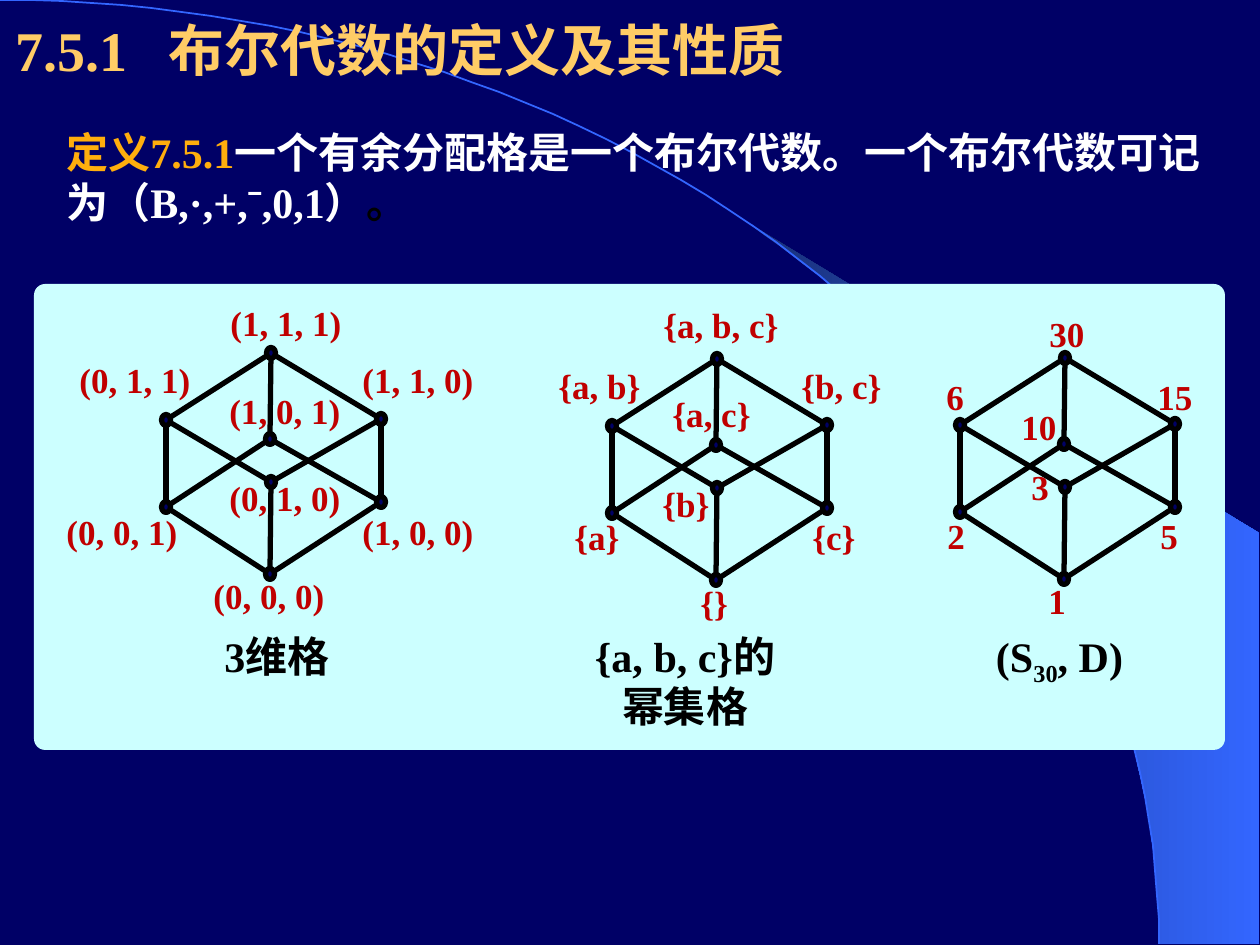
from math import asin, cos, pi, sin

from lxml.etree import SubElement
from pptx import Presentation
from pptx.dml.color import RGBColor
from pptx.enum.shapes import MSO_CONNECTOR as Connector, MSO_SHAPE as Shape
from pptx.enum.text import MSO_ANCHOR as Anchor, PP_ALIGN as Align
from pptx.oxml.ns import qn
from pptx.util import Emu, Pt

PX = 914400 / 126
WIDTH, HEIGHT = 1260, 945
FONT = "Times New Roman"

NAVY = RGBColor(0x00, 0x00, 0x66)
DEEP_BLUE = RGBColor(0x18, 0x2F, 0x76)
BLUE = RGBColor(0x33, 0x66, 0xFF)
GOLD = RGBColor(0xFF, 0xCC, 0x66)
ORANGE = RGBColor(0xFF, 0xAE, 0x0D)
WHITE = RGBColor(0xFF, 0xFF, 0xFF)
BLACK = RGBColor(0x00, 0x00, 0x00)
RED = RGBColor(0xC0, 0x00, 0x00)
PALE_CYAN = RGBColor(0xCC, 0xFF, 0xFF)

TITLE = "7.5.1\t布尔代数的定义及其性质"
TITLE_TAB = 153
DEFINITION = [
    ("定义7.5.1", ORANGE),
    ("一个有余分配格是一个布尔代数。一个布尔代数可记为（B,·,+,ˉ,0,1）", WHITE),
    ("。", BLACK),
]

# Cube nodes, measured from the top node of a lattice
NODES = {
    "top": (0, 0),
    "upper left": (-105, 67),
    "upper right": (110, 66),
    "upper middle": (-1, 86),
    "lower middle": (0, 129),
    "lower left": (-105, 154),
    "lower right": (110, 149),
    "bottom": (-1, 221),
}
EDGES = [
    ("top", "upper left"), ("top", "upper middle"), ("top", "upper right"),
    ("upper left", "lower left"), ("upper left", "lower middle"),
    ("upper middle", "lower left"), ("upper middle", "lower right"),
    ("upper right", "lower middle"), ("upper right", "lower right"),
    ("lower left", "bottom"), ("lower middle", "bottom"), ("lower right", "bottom"),
]

# Labels: text, left, top, width. Caption: runs with baseline, left, width, height, alignment
LATTICES = [
    {
        "top node": (271, 353),
        "labels": [
            ("(1, 1, 1)", 218, 295, 152), ("(0, 1, 1)", 67, 352, 184),
            ("(1, 1, 0)", 350, 352, 155), ("(1, 0, 1)", 217, 383, 150),
            ("(0, 1, 0)", 217, 470, 142), ("(0, 0, 1)", 54, 504, 140),
            ("(1, 0, 0)", 350, 504, 150), ("(0, 0, 0)", 201, 568, 146),
        ],
        "caption": ([("3维格", 0)], 212, 155, 63, Align.LEFT),
    },
    {
        "top node": (717, 359),
        "labels": [
            ("{a, b, c}", 651, 297, 147), ("{a, b}", 546, 358, 113),
            ("{b, c}", 789, 358, 110), ("{a, c}", 660, 386, 108),
            ("{b}", 650, 476, 87), ("{a}", 562, 509, 91),
            ("{c}", 800, 509, 78), ("{}", 688, 575, 58),
        ],
        "caption": ([("{a, b, c}的幂集格", 0)], 581, 208, 113, Align.CENTER),
    },
    {
        "top node": (1065, 358),
        "labels": [
            ("30", 1037, 306, 62), ("6", 934, 369, 55),
            ("15", 1145, 369, 79), ("10", 1009, 399, 71),
            ("3", 1019, 459, 57), ("2", 935, 508, 53),
            ("5", 1148, 508, 48), ("1", 1036, 573, 58),
        ],
        "caption": ([("(S", 0), ("30", -25000), (", D)", 0)], 974, 171, 71, Align.CENTER),
    },
]
LABEL_HEIGHT = 55
CAPTION_TOP = 624
DOT_SIZE = (9, 11)


def px(*lengths):
    return [Emu(round(length * PX)) for length in lengths]


def style(span, size, color):
    span.font.name = FONT
    span.font.size = Pt(size)
    span.font.bold = True
    span.font.color.rgb = color


def add_text(page, frame, spans, size, align=Align.LEFT):
    """Add a wrapping box; spans are (text, color, baseline)."""
    box = page.shapes.add_textbox(*px(*frame))
    box.text_frame.word_wrap = True
    para = box.text_frame.paragraphs[0]
    para.alignment = align
    for text, color, baseline in spans:
        span = para.add_run()
        span.text = text
        style(span, size, color)
        if baseline:
            span.font.element.set("baseline", str(baseline)) if hasattr(
                span.font, "element") else span._r.get_or_add_rPr().set("baseline", str(baseline))


def arc_points(start, steps=60):
    """Points of the quarter ellipse from angle start down to the slide's foot."""
    angles = [start + (pi / 2 - start) * step / steps for step in range(steps + 1)]
    return [(1159 * sin(angle), 944 * (1 - cos(angle))) for angle in angles]


def add_outline(page, points, close):
    builder = page.shapes.build_freeform(*points[0], scale=PX)
    builder.add_line_segments(points[1:], close=close)
    outline = builder.convert_to_shape()
    outline.shadow.inherit = False
    return outline


def add_backdrop(page):
    wedge = add_outline(page, arc_points(asin(0.64)) + [(1259, 944), (1259, 533)], True)
    wedge.line.fill.background()
    wedge.fill.gradient()
    wedge.fill.gradient_angle = 0
    for stop, color, position in zip(wedge.fill.gradient_stops, (DEEP_BLUE, BLUE), (0, 1)):
        stop.color.rgb = color
        stop.position = position
    arc = add_outline(page, arc_points(0), False)
    arc.fill.background()
    arc.line.color.rgb = BLUE
    arc.line.width = Pt(1)
    for outline in (wedge, arc):
        page.shapes.title.element.addprevious(outline.element)


def add_title(page):
    title = page.shapes.title
    title.left, title.top, title.width, title.height = px(3, 6, 1134, 87)
    title.text_frame.text = TITLE
    title.text_frame.vertical_anchor = Anchor.MIDDLE
    para = title.text_frame.paragraphs[0]
    para.alignment = Align.LEFT
    tabs = SubElement(para._p.get_or_add_pPr(), qn("a:tabLst"))
    SubElement(tabs, qn("a:tab"), pos=str(px(TITLE_TAB)[0]), algn="l")
    for span in para.runs:
        style(span, 32, GOLD)


def add_panel(page):
    panel = page.shapes.add_shape(Shape.ROUNDED_RECTANGLE, *px(34, 284, 1191, 466))
    panel.adjustments[0] = 0.024
    panel.shadow.inherit = False
    panel.fill.solid()
    panel.fill.fore_color.rgb = PALE_CYAN
    panel.line.fill.background()


def add_lattice(page, lattice):
    origin_x, origin_y = lattice["top node"]
    centers = {name: (origin_x + x, origin_y + y) for name, (x, y) in NODES.items()}
    for start, end in EDGES:
        edge = page.shapes.add_connector(Connector.STRAIGHT, *px(*centers[start], *centers[end]))
        edge.line.color.rgb = BLACK
        edge.line.width = Pt(3)
        SubElement(edge.element.spPr, qn("a:effectLst"))
    width, height = DOT_SIZE
    for x, y in centers.values():
        dot = page.shapes.add_shape(Shape.OVAL, *px(x - width / 2, y - height / 2, width, height))
        dot.shadow.inherit = False
        dot.fill.solid()
        dot.fill.fore_color.rgb = NAVY
        dot.line.color.rgb = BLACK
        dot.line.width = Pt(3)
    for text, left, top, label_width in lattice["labels"]:
        add_text(page, (left, top, label_width, LABEL_HEIGHT), [(text, RED, 0)], 20)
    spans, left, caption_width, caption_height, align = lattice["caption"]
    add_text(page, (left, CAPTION_TOP, caption_width, caption_height),
             [(text, BLACK, baseline) for text, baseline in spans], 24, align)


def main():
    deck = Presentation()
    deck.slide_width, deck.slide_height = px(WIDTH, HEIGHT)
    page = deck.slides.add_slide(deck.slide_layouts[5])
    page.background.fill.solid()
    page.background.fill.fore_color.rgb = NAVY
    add_backdrop(page)
    add_title(page)
    add_text(page, (54, 120, 1181, 113), [(text, color, 0) for text, color in DEFINITION], 24)
    add_panel(page)
    for lattice in LATTICES:
        add_lattice(page, lattice)
    deck.save("out.pptx")


if __name__ == "__main__":
    main()
